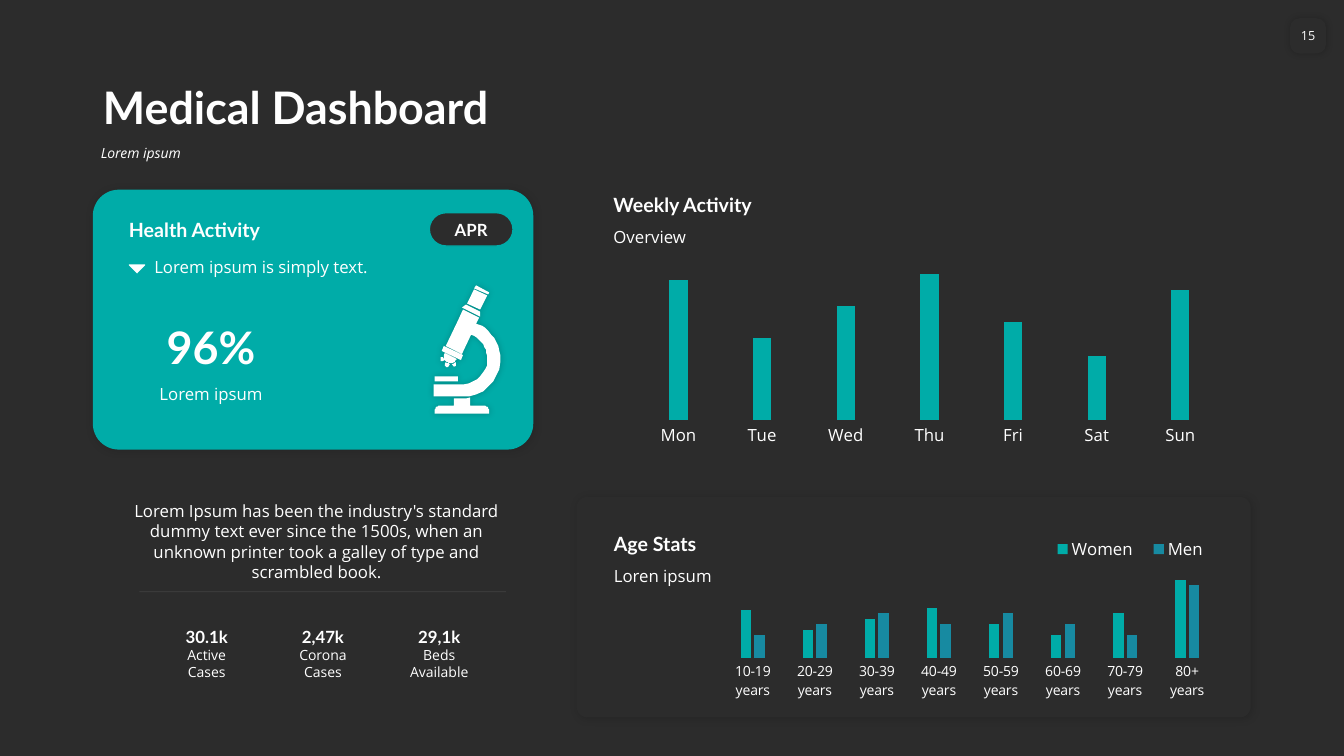
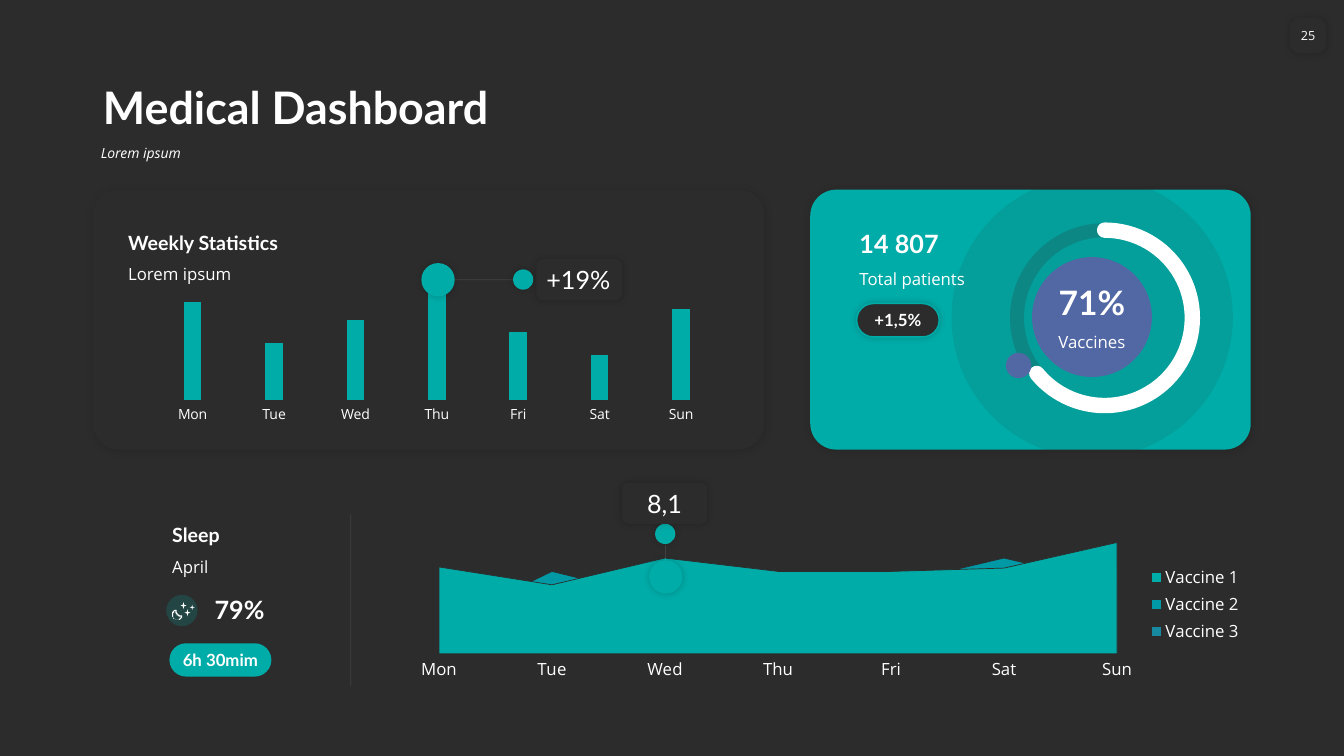
import dataclasses

import lxml.etree
import pptx
import pptx.chart.data
import pptx.dml.color
import pptx.enum.chart
import pptx.enum.shapes
import pptx.enum.text
import pptx.oxml.ns
import pptx.util

Cm, Pt = pptx.util.Cm, pptx.util.Pt
qn = pptx.oxml.ns.qn
MSO = pptx.enum.shapes.MSO_SHAPE
LEFT, CENTER = pptx.enum.text.PP_ALIGN.LEFT, pptx.enum.text.PP_ALIGN.CENTER
TOP, MIDDLE, BOTTOM = (getattr(pptx.enum.text.MSO_ANCHOR, n) for n in ("TOP", "MIDDLE", "BOTTOM"))


@dataclasses.dataclass(frozen=True)
class Theme:
    dark: str = "2C2C2C"
    teal: str = "00ACA8"
    sea: str = "0099A5"
    blue: str = "178AA1"
    violet: str = "5268A5"
    white: str = "FFFFFF"
    head: str = "Lato"
    body: str = "Open Sans"
    title: int = 32
    figure: int = 24
    number: int = 18
    section: int = 14
    text: int = 12
    small: int = 10
    page: int = 9
    card_shadow: tuple = (15, 6, 1)
    soft_shadow: tuple = (20, 5, 0)


@dataclasses.dataclass(frozen=True)
class Box:
    x: float
    y: float
    w: float
    h: float

    def at(self, x, y, w, h):
        return Box(self.x + x, self.y + y, w, h)

    def emu(self):
        return [Cm(v) for v in (self.x, self.y, self.w, self.h)]


T = Theme()
DAYS = ["Mon", "Tue", "Wed", "Thu", "Fri", "Sat", "Sun"]

MICROSCOPE = [
    [(36, 111), (36, 119), (50, 119), (53, 119, 55, 122, 55, 125), (55, 127), (1, 127), (1, 125),
     (1, 122, 3, 119, 6, 119), (20, 119), (20, 112), (32, 112)],
    [(24, 90), (24, 95), (1, 95), (1, 90)],
    [(22, 76), (22, 78), (23, 79, 22, 80, 21, 80), (20, 81), (20, 81, 19, 80, 19, 79), (18, 78), (19, 78)],
    [(12, 76), (13, 77, 13, 77, 14, 77), (14, 77, 15, 77, 15, 78), (16, 78), (15, 80),
     (14, 81, 13, 81, 12, 81), (12, 80), (11, 80, 11, 79, 11, 78)],
    [(9, 71), (10, 73), (11, 74), (9, 75), (8, 75, 7, 75, 7, 74), (7, 73), (6, 73, 7, 72, 7, 71)],
    [(11, 67), (23, 73), (22, 74), (21, 77, 17, 78, 14, 76), (11, 75, 9, 72, 10, 69)],
    [(10, 60), (29, 69), (27, 74), (8, 65)],
    [(29, 24), (45, 32), (42, 38), (48, 40), (57, 46, 64, 57, 66, 69), (68, 88, 55, 106, 35, 110),
     (0, 110), (0, 98), (30, 98), (35, 97), (47, 93, 55, 82, 53, 70), (52, 61, 47, 54, 40, 50),
     (37, 49), (28, 68), (12, 60), (24, 35)],
    [(32, 19), (46, 26), (46, 31), (28, 22)],
    [(40, 4), (53, 10), (46, 24), (33, 18)],
    [(42, 0), (55, 7), (54, 9), (40, 3)],
]
MOON = [
    [(4, 1), (4, 0, 4, 0, 3, 0), (1, 0, 0, 2, 0, 5), (0, 7, 2, 9, 5, 9), (7, 9, 9, 8, 9, 6),
     (9, 5, 9, 5, 8, 5), (6, 5, 4, 3, 4, 1)],
    [(5, 9), (2, 9, 1, 7, 1, 5), (1, 3, 2, 1, 3, 1), (3, 4, 5, 6, 8, 6), (8, 7, 6, 9, 5, 9)],
]
CARET = [[(0, 1), (0, 0, 0, 0, 1, 0), (15, 0), (16, 0, 16, 0, 16, 1), (15, 2), (9, 8),
          (8, 9, 8, 9, 7, 8), (1, 2)]]


def apply(obj, **values):
    for name, value in values.items():
        setattr(obj, name, value)


def rgb(color):
    return pptx.dml.color.RGBColor.from_string(color)


def style_font(font, size, name, color=T.white, bold=False, italic=False):
    apply(font, size=Pt(size), name=name, bold=bold, italic=italic)
    font.color.rgb = rgb(color)


def add(parent, tag, **attrs):
    return lxml.etree.SubElement(parent, qn(tag), {k: str(v) for k, v in attrs.items()})


def fade(holder, percent):
    add(holder.find(qn("a:solidFill"))[0], "a:alpha", val=percent * 1000)


def paint(shape, fill=None, alpha=None, line=None, shadow=None):
    spPr = shape.element.spPr
    shape.shadow.inherit = False
    if fill:
        shape.fill.solid()
        shape.fill.fore_color.rgb = rgb(fill)
    else:
        shape.fill.background()
    if fill and alpha:
        fade(spPr, alpha)
    if line:
        shape.line.color.rgb, shape.line.width = rgb(line[0]), Pt(line[1])
    else:
        shape.line.fill.background()
    if shadow:
        percent, blur, dist = shadow
        outer = add(spPr.find(qn("a:effectLst")), "a:outerShdw", blurRad=Pt(blur), dist=Pt(dist),
                    dir=45 * 60000, algn="ctr", rotWithShape=0)
        add(add(outer, "a:srgbClr", val="000000"), "a:alpha", val=percent * 1000)
    return shape


def add_shape(s, kind, box, adj=(), **look):
    sp = s.shapes.add_shape(kind, *box.emu())
    for i, value in enumerate(adj):
        sp.adjustments[i] = value
    return paint(sp, **look)


def outline(s, box, contours, grid, shadow=None):
    fb = None
    for start, *steps in contours:
        if fb is None:
            fb = s.shapes.build_freeform(*start, scale=Cm(box.w) / grid)
        else:
            fb.move_to(*start)
        points, last = [], start
        for step in steps:
            if len(step) == 2:
                points.append(step)
            else:
                knots = [last, step[:2], step[2:4], step[4:]]
                for t in (i / 8 for i in range(1, 9)):
                    weights = ((1 - t) ** 3, 3 * t * (1 - t) ** 2, 3 * t * t * (1 - t), t ** 3)
                    points.append(tuple(sum(w * k[i] for w, k in zip(weights, knots)) for i in (0, 1)))
            last = step[-2:]
        fb.add_line_segments(points, close=True)
    return paint(fb.convert_to_shape(Cm(box.x), Cm(box.y)), fill=T.white, shadow=shadow)


def write(tf, lines, align=LEFT, anchor=TOP, inset=None, wrap=True):
    apply(tf, word_wrap=wrap, vertical_anchor=anchor)
    if inset is not None:
        apply(tf, margin_left=Cm(inset), margin_right=Cm(inset))
    for i, (text, size, name, extra) in enumerate(lines):
        p = tf.paragraphs[0] if i == 0 else tf.add_paragraph()
        p.alignment = align
        r = p.add_run()
        r.text = text
        style_font(r.font, size, name, **extra)


def head(text, size=T.section):
    return text, size, T.head, {"bold": True}


def body(text, size=T.text):
    return text, size, T.body, {}


def label(s, box, *lines, **layout):
    write(s.shapes.add_textbox(*box.emu()).text_frame, lines, **layout)


def heading(s, box, title, caption, size=T.section, align=LEFT):
    label(s, box, head(title, size), align=align, anchor=BOTTOM)
    label(s, box.at(0, box.h, box.w, 0.76), body(caption), align=align)


def rule(s, x1, y1, x2, y2):
    ln = s.shapes.add_connector(pptx.enum.shapes.MSO_CONNECTOR.STRAIGHT, *(Cm(v) for v in (x1, y1, x2, y2)))
    ln.line.color.rgb, ln.line.width = rgb(T.white), Pt(0.5)
    spPr = ln.element.spPr
    fade(spPr.find(qn("a:ln")), 10)
    add(spPr, "a:effectLst")


def card(s, box, fill, radius=0.1):
    add_shape(s, MSO.ROUNDED_RECTANGLE, box, (radius,), fill=fill, shadow=T.card_shadow)


def pill(s, box, text, **look):
    sp = add_shape(s, MSO.ROUNDED_RECTANGLE, box, (0.5,), **look)
    write(sp.text_frame, [head(text, T.text)], CENTER, MIDDLE, 0)


def dot(s, box):
    add_shape(s, MSO.OVAL, box, fill=T.teal, shadow=T.soft_shadow)


def tag(s, box, text, align):
    sp = add_shape(s, MSO.ROUNDED_RECTANGLE, box, fill=T.dark, shadow=T.soft_shadow)
    write(sp.text_frame, [(text, T.number, T.head, {})], align, MIDDLE, 0.2)


def place(parent, index, x, y, w, h, inner=False):
    old = parent.find(qn("c:layout"))
    if old is not None:
        parent.remove(old)
    layout = lxml.etree.Element(qn("c:layout"))
    manual = add(layout, "c:manualLayout")
    if inner:
        add(manual, "c:layoutTarget", val="inner")
    for tag_name, value in (("xMode", "edge"), ("yMode", "edge"), ("x", x), ("y", y), ("w", w), ("h", h)):
        add(manual, "c:" + tag_name, val=value)
    parent.insert(index, layout)


def chart(s, box, kind, cats, series, plot_area, size=T.text, gap=None, legend=None, legend_area=None):
    data = pptx.chart.data.CategoryChartData()
    data.categories = cats
    for name, values, _ in series:
        data.add_series(name, values)
    ch = s.shapes.add_chart(getattr(pptx.enum.chart.XL_CHART_TYPE, kind), *box.emu(), data).chart
    apply(ch, has_title=False, has_legend=bool(legend))
    style_font(ch.font, T.text, T.body)
    apply(ch.value_axis, visible=False, has_major_gridlines=False, minimum_scale=0, maximum_scale=100)
    axis = ch.category_axis
    apply(axis, major_tick_mark=pptx.enum.chart.XL_TICK_MARK.NONE, has_major_gridlines=False)
    axis.format.line.fill.background()
    style_font(axis.tick_labels.font, size, T.body)
    plot = ch.plots[0]
    plot.vary_by_categories = False
    if gap:
        apply(plot, gap_width=gap, overlap=-30)
    for ser, (_, _, color) in zip(plot.series, series):
        ser.format.fill.solid()
        ser.format.fill.fore_color.rgb = rgb(color)
        if kind == "AREA":
            ser.format.line.color.rgb, ser.format.line.width = rgb(T.dark), Pt(0.5)
    area = axis._element.getparent()
    place(area, 0, *plot_area, inner=True)
    if kind == "AREA":
        area.find(".//" + qn("c:crossBetween")).set("val", "midCat")
    if legend:
        apply(ch.legend, position=getattr(pptx.enum.chart.XL_LEGEND_POSITION, legend), include_in_layout=False)
        style_font(ch.legend.font, T.text, T.body)
        if legend_area:
            place(ch.legend._element, 1, *legend_area)


def frame(prs, number):
    s = prs.slides.add_slide(prs.slide_layouts[5])
    title = s.shapes.title
    apply(title, **dict(zip(("left", "top", "width", "height"), Box(2.34, 1.47, 29.21, 2.03).emu())))
    write(title.text_frame, [head("Medical Dashboard", T.title)], anchor=BOTTOM)
    title.text_frame.paragraphs[0].line_spacing = 0.9
    label(s, Box(2.29, 3.51, 29.26, 0.91), ("Lorem ipsum", T.small, T.body, {"italic": True}))
    badge = add_shape(s, MSO.ROUNDED_RECTANGLE, Box(32.51, 0.46, 0.91, 0.89), (0.27,),
                      fill=T.dark, shadow=T.soft_shadow)
    write(badge.text_frame, [body(str(number), T.page)], CENTER, MIDDLE, 0, False)
    return s


def health_card(s, box):
    card(s, box, T.teal)
    heading(s, box.at(0.91, 3.15, 4.14, 1.61), "96%", "Lorem ipsum", T.title, CENTER)
    pill(s, box.at(8.48, 0.58, 2.11, 0.84), "APR", fill=T.dark, line=(T.teal, 1))
    label(s, box.at(0.66, 0.58, 6.38, 0.86), head("Health Activity"), anchor=BOTTOM)
    label(s, box.at(1.3, 1.57, 9.32, 0.76), body("Lorem ipsum is simply text."))
    outline(s, box.at(0.91, 1.88, 0.41, 0.23), CARET, 16)
    outline(s, box.at(8.59, 2.41, 1.68, 3.23), MICROSCOPE, 66, T.soft_shadow)


def weekly_activity(s, box):
    heading(s, box.at(0, 0, 7.26, 0.86), "Weekly Activity", "Overview")
    chart(s, box.at(0.53, 1.63, 15.37, 4.98), "COLUMN_CLUSTERED", DAYS,
          [("Series 1", (96, 56, 78, 100, 67, 44, 89), T.teal)], (0.02, 0.11, 0.96, 0.74), gap=360)


def summary(s, box):
    label(s, box.at(0, 0, 10.72, 2.2),
          body("Lorem Ipsum has been the industry's standard dummy text ever since the 1500s, "
               "when an unknown printer took a galley of type and scrambled book."), align=CENTER)
    rule(s, box.x + 0.89, box.y + 2.41, box.x + 10.13, box.y + 2.41)
    stats = [("30.1k", "Active", "Cases"), ("2,47k", "Corona", "Cases"), ("29,1k", "Beds", "Available")]
    for i, (value, *words) in enumerate(stats):
        label(s, box.at(1.32 + i * 2.93, 3.15, 2.54, 1.63), head(value, T.text),
              *(body(word, T.small) for word in words), align=CENTER, anchor=MIDDLE)


def age_card(s, box):
    card(s, box, T.dark, 0.05)
    ages = [f"{n}-{n + 9} years" for n in range(10, 80, 10)] + ["80+ years"]
    chart(s, box.at(3.4, 0.76, 13.03, 4.45), "COLUMN_CLUSTERED", ages,
          [("Women", (61, 36, 50, 64, 43, 29, 57, 100), T.teal),
           ("Men", (29, 43, 57, 43, 57, 43, 29, 93), T.blue)],
          (0.02, 0.3, 0.96, 0.44), T.small, 380, "TOP", (0.64, 0.06, 0.34, 0.13))
    heading(s, box.at(0.69, 0.76, 5.59, 0.85), "Age Stats", "Loren ipsum")


def statistics_card(s, box):
    card(s, box, T.dark)
    chart(s, box.at(1.19, 1.75, 14.96, 4.24), "COLUMN_CLUSTERED", DAYS,
          [("Series 1", (86, 50, 70, 100, 60, 40, 80), T.teal)], (0.02, 0.16, 0.96, 0.68), T.small, 360)
    heading(s, box.at(0.64, 0.89, 5.08, 0.86), "Weekly Statistics", "Lorem ipsum")
    dot(s, box.at(8.28, 1.85, 0.84, 0.84))
    rule(s, box.x + 9.12, box.y + 2.27, box.x + 10.67, box.y + 2.27)
    dot(s, box.at(10.59, 2.01, 0.51, 0.51))
    tag(s, box.at(11.18, 1.75, 2.16, 1.04), "+19%", LEFT)


def patients_card(s, box):
    card(s, box, T.teal)
    ring_box = box.at(5.21, 1.02, 4.42, 4.42)
    add_shape(s, MSO.OVAL, box.at(3.56, -0.33, 7.09, 7.09), fill=T.dark, alpha=10)
    add_shape(s, MSO.OVAL, box.at(5.59, 1.7, 3.02, 3.02), fill=T.violet)
    ring = add_shape(s, MSO.OVAL, ring_box, line=(T.dark, 10))
    fade(ring.element.spPr.find(qn("a:ln")), 20)
    arc = add_shape(s, MSO.ARC, ring_box, (162, 84.39), line=(T.white, 11))
    arc.element.spPr.find(qn("a:ln")).set("cap", "rnd")
    add_shape(s, MSO.OVAL, box.at(4.93, 4.11, 0.64, 0.64), fill=T.violet)
    heading(s, box.at(5.59, 2.25, 3.02, 1.21), "71%", "Vaccines", T.figure, CENTER)
    heading(s, box.at(0.99, 0.86, 4.72, 1), "14 807", "Total patients", T.number)
    pill(s, box.at(1.17, 2.87, 2.08, 0.84), "+1,5%", fill=T.dark, line=(T.teal, 1), shadow=T.soft_shadow)


def sleep_panel(s, box):
    heading(s, box.at(0, 0, 4.22, 0.84), "Sleep", "April")
    add_shape(s, MSO.OVAL, box.at(0.1, 1.93, 0.79, 0.79), fill=T.teal, alpha=20)
    label(s, box.at(1.07, 1.78, 3.15, 1.02), head("79%", T.number), anchor=BOTTOM)
    pill(s, box.at(0.18, 3.15, 2.57, 0.84), "6h 30mim", fill=T.teal)
    outline(s, box.at(0.25, 2.31, 0.25, 0.25), MOON, 9)
    for star in ((0.69, 2.18, 0.13, 0.13), (0.46, 2.11, 0.15, 0.18), (0.56, 2.29, 0.15, 0.18)):
        add_shape(s, MSO.STAR_4_POINT, box.at(*star), (0.15,), fill=T.white)
    rule(s, box.x + 4.75, box.y + 4.22, box.x + 4.75, box.y - 0.1)


def vaccine_trend(s, box):
    chart(s, box, "AREA", DAYS,
          [("Vaccine 1", (78, 62, 86, 74, 74, 77, 100), T.teal),
           ("Vaccine 2", (25, 74, 49, 37, 62, 86, 62), T.sea),
           ("Vaccine 3", (37, 49, 25, 25, 49, 62, 74), T.blue)],
          (0.04, 0.11, 0.8, 0.7), legend="RIGHT")
    dot(s, box.at(6.15, 0.89, 0.84, 0.84))
    rule(s, box.x + 6.56, box.y + 0.51, box.x + 6.56, box.y + 0.89)
    dot(s, box.at(6.3, -0.03, 0.51, 0.51))
    tag(s, box.at(5.46, -1.07, 2.16, 1.04), "8,1", CENTER)


def main():
    prs = pptx.Presentation()
    apply(prs, slide_width=Cm(33.87), slide_height=Cm(19.05))
    fill = prs.slide_master.background.fill
    fill.solid()
    fill.fore_color.rgb = rgb(T.dark)

    s = frame(prs, 15)
    health_card(s, Box(2.34, 4.78, 11.1, 6.55))
    weekly_activity(s, Box(15.21, 4.72, 15.9, 6.61))
    summary(s, Box(2.62, 12.5, 10.72, 4.78))
    age_card(s, Box(14.53, 12.52, 16.99, 5.56))

    s = frame(prs, 25)
    statistics_card(s, Box(2.34, 4.78, 16.92, 6.55))
    patients_card(s, Box(20.42, 4.78, 11.1, 6.55))
    sleep_panel(s, Box(4.09, 13.06, 4.22, 4))
    vaccine_trend(s, Box(10.21, 13.23, 21.36, 4.01))
    prs.save("out.pptx")


if __name__ == "__main__":
    main()
